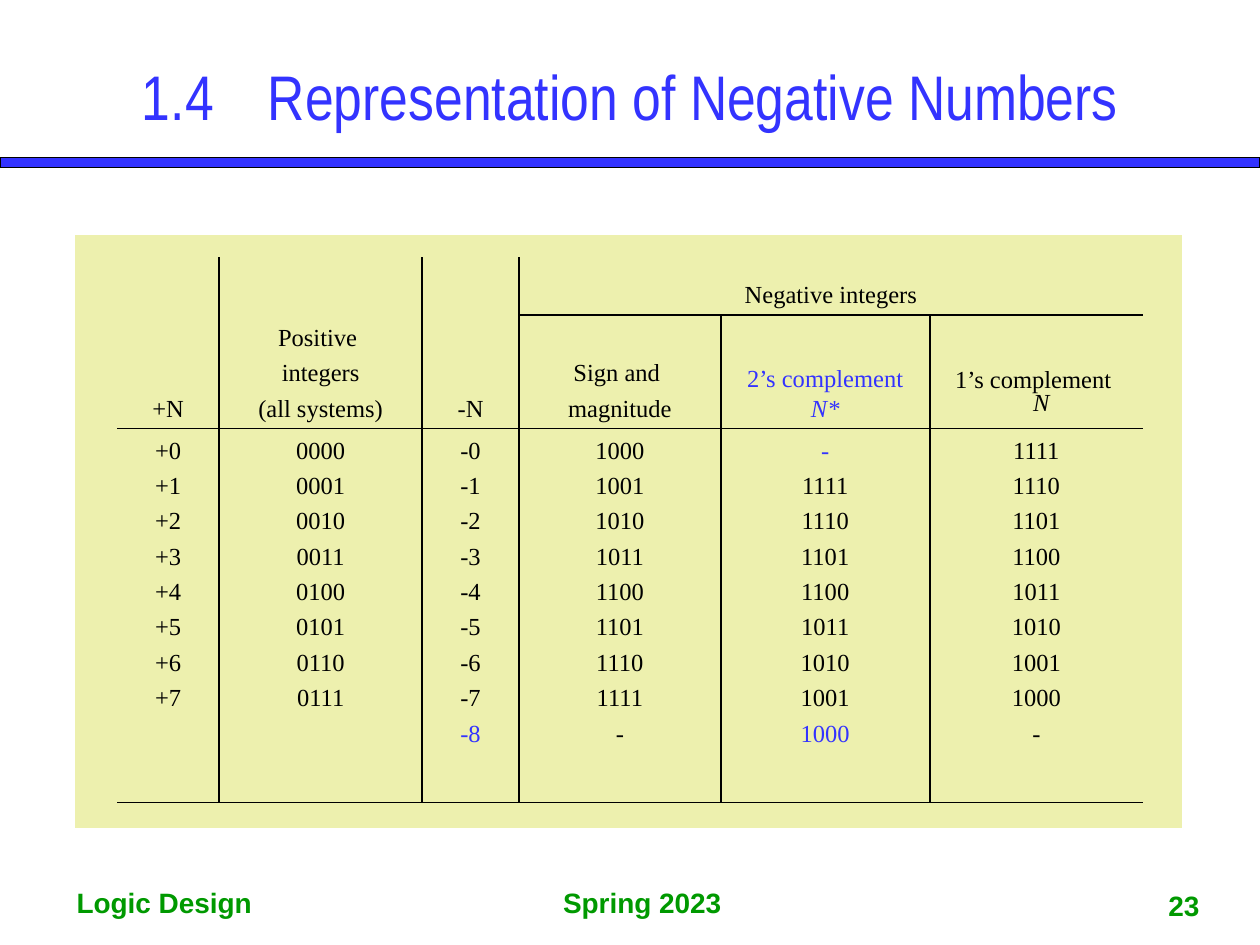
from lxml import etree
from pptx import Presentation
from pptx.dml.color import RGBColor
from pptx.enum import shapes, text
from pptx.oxml import ns
from pptx.util import Inches, Pt

BLUE = RGBColor(0x33, 0x33, 0xFF)
GREEN = RGBColor(0x00, 0x99, 0x00)
CREAM = RGBColor(0xED, 0xF0, 0xAE)
BLACK = RGBColor(0, 0, 0)
WHITE = RGBColor(255, 255, 255)
EDGES = [0.93, 1.74, 3.35, 4.12, 5.72, 7.38, 9.07]
TOP, SPLIT, HEAD, END = 2.04, 2.5, 3.4, 6.37
MID, LEFT = text.PP_ALIGN.CENTER, text.PP_ALIGN.LEFT
LOW, HIGH = text.MSO_ANCHOR.BOTTOM, text.MSO_ANCHOR.TOP


class Page:
    """Holds the style and the current slide and draws its elements."""

    def __init__(self, deck):
        self.slide = deck.slides.add_slide(deck.slide_layouts[5])
        self.items = self.slide.shapes
        self.face, self.size, self.gap = "Times New Roman", 14, 3.4

    def font(self, run, face, size, color, bold=False, italic=False):
        font = run.font
        font.name, font.size, font.color.rgb = face, Pt(size), color
        font.bold, font.italic = bold, italic

    def place(self, item, box):
        item.left, item.top, item.width, item.height = map(Inches, box)

    def title(self, words):
        item = self.items.title
        self.place(item, (0.5, 0.44, 9, 0.63))
        frame = item.text_frame
        frame.text = words
        frame.auto_size = text.MSO_AUTO_SIZE.NONE
        frame.vertical_anchor = text.MSO_ANCHOR.MIDDLE
        para = frame.paragraphs[0]
        para.alignment = MID
        self.font(para.runs[0], "Arial Narrow", 36, BLUE)

    def rect(self, box, fill, line):
        item = self.items.add_shape(shapes.MSO_SHAPE.RECTANGLE, *map(Inches, box))
        item.shadow.inherit = False
        item.fill.solid()
        item.fill.fore_color.rgb = fill
        item.line.color.rgb = line
        item.line.width = Pt(0.75)

    def rule(self, x1, y1, x2, y2):
        item = self.items.add_connector(
            shapes.MSO_CONNECTOR.STRAIGHT, *map(Inches, (x1, y1, x2, y2)))
        item.line.color.rgb = BLACK
        item.line.width = Pt(1)
        etree.SubElement(item._element.spPr, ns.qn("a:effectLst"))

    def label(self, box, words, anchor=HIGH, align=MID, blue=(), color=BLACK):
        frame = self.items.add_textbox(*map(Inches, box)).text_frame
        frame.word_wrap = True
        frame.vertical_anchor = anchor
        frame.text = "\n".join(words)
        for row, para in enumerate(frame.paragraphs):
            para.alignment = align
            para.space_before = Pt(self.gap)
            for run in para.runs:
                self.font(run, self.face, self.size, BLUE if row in blue else color)
        return frame

    def footer(self, box, words, **style):
        frame = self.label(box, [words], color=GREEN, **style)
        para = frame.paragraphs[0]
        para.space_before = Pt(0)
        self.font(para.runs[0], "Arial", 16, GREEN, bold=True)


def bits(numbers):
    return [f"{n:04b}" for n in numbers]


def main():
    deck = Presentation()
    deck.slide_width, deck.slide_height = Inches(10), Inches(7.5)
    page = Page(deck)
    page.rect((0, 1.25, 10, 0.08), BLUE, BLACK)
    page.title("1.4\tRepresentation of Negative Numbers")
    page.rect((0.59, 1.86, 8.8, 4.72), CREAM, WHITE)

    cols = [
        (TOP, ["+N"], [f"+{n}" for n in range(8)], ()),
        (TOP, ["Positive ", "integers", "(all systems)"], bits(range(8)), ()),
        (TOP, ["-N"], [f"-{n}" for n in range(9)], (8,)),
        (SPLIT, ["Sign and ", "magnitude"], bits(range(8, 16)) + ["-"], ()),
        (SPLIT, ["2’s complement "], ["-"] + bits(range(15, 7, -1)), (0, 8)),
        (SPLIT, ["1’s complement "], bits(range(15, 7, -1)) + ["-"], ()),
    ]
    heads = []
    for left, right, (top, head, body, blue) in zip(EDGES, EDGES[1:], cols):
        wide = right - left
        heads.append(page.label((left, top, wide, HEAD - top), head, LOW))
        page.label((left, HEAD, wide, END - HEAD), body, blue=blue)
        if left > EDGES[0]:
            page.rule(left, TOP if left <= EDGES[3] else SPLIT, left, END)

    twos, ones = heads[4], heads[5]
    para = twos.paragraphs[0]
    page.font(para.runs[0], page.face, page.size, BLUE)
    star = para.add_run()
    star.text = "N*"
    page.font(star, page.face, page.size, BLUE, italic=True)
    ones.margin_bottom = Inches(0.28)
    bar = page.label((8.2, 3.07, 0.13, 0.23), ["N"], align=LEFT)
    bar.margin_left = bar.margin_right = bar.margin_top = bar.margin_bottom = 0
    bar.word_wrap = False
    bar.paragraphs[0].runs[0].font.italic = True

    page.label((EDGES[3], TOP, EDGES[6] - EDGES[3], SPLIT - TOP),
               ["Negative integers"], LOW)
    for left, y in ((EDGES[3], SPLIT), (EDGES[0], HEAD), (EDGES[0], END)):
        page.rule(left, y, EDGES[6], y)

    page.footer((0.51, 6.98, 1.65, 0.37), "Logic Design", align=LEFT)
    page.footer((4.37, 6.98, 1.49, 0.37), "Spring 2023", align=LEFT)
    page.footer((9.02, 6.9, 0.75, 0.47), "23", anchor=LOW)
    deck.save("out.pptx")


if __name__ == "__main__":
    main()
